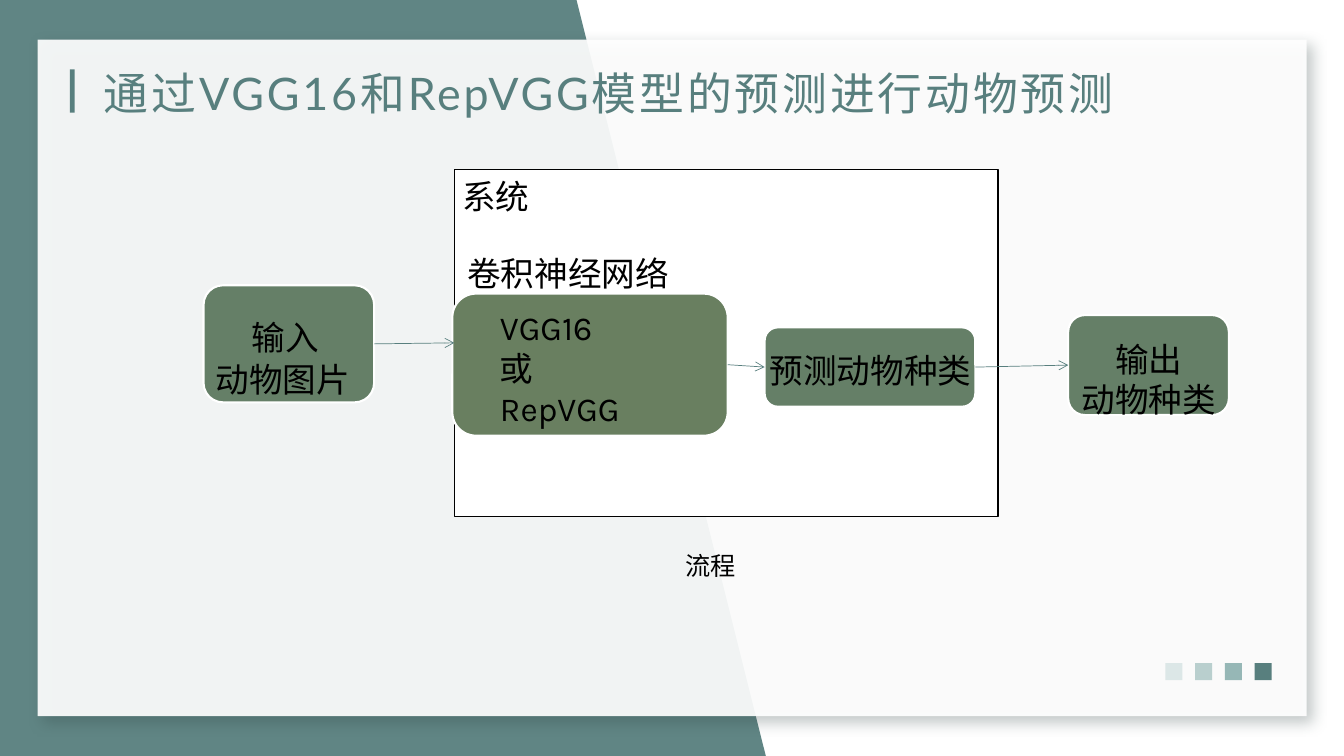
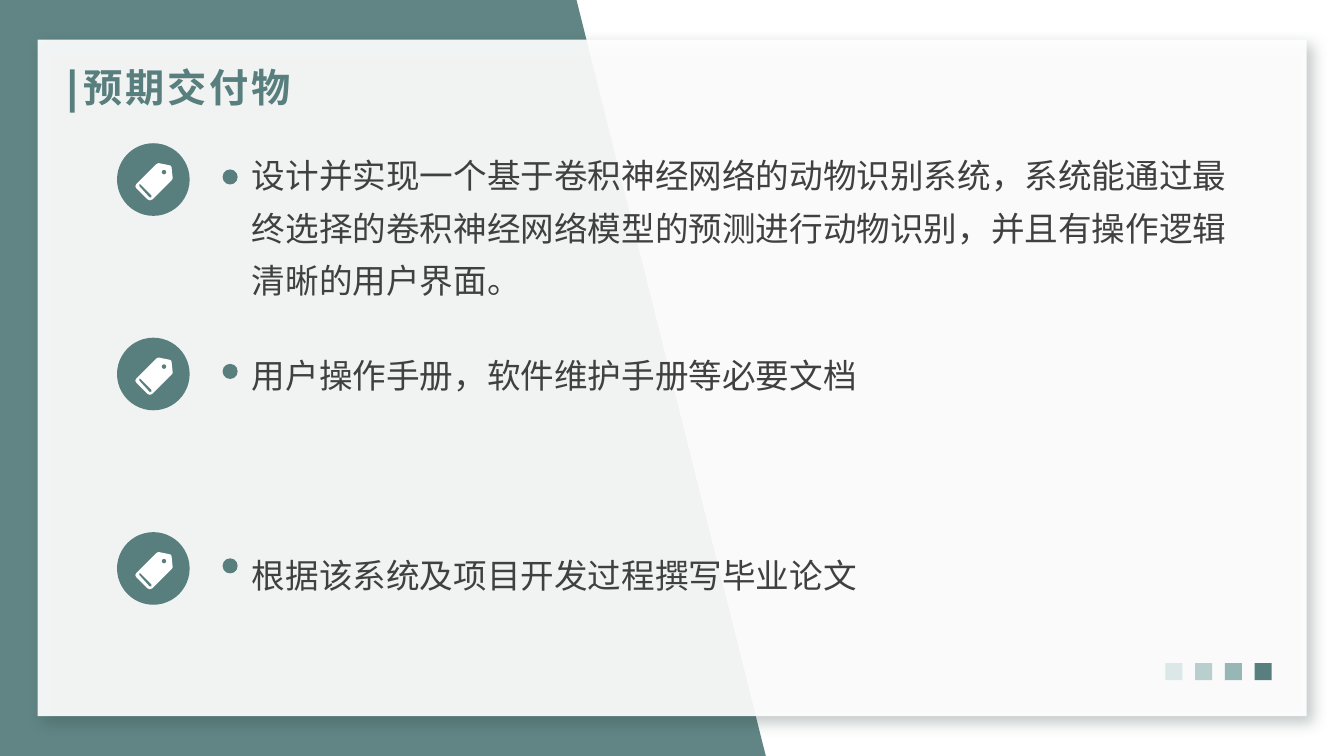
from math import cos, pi, sin

from lxml.etree import SubElement
from pptx import Presentation
from pptx.dml.color import RGBColor
from pptx.enum.shapes import MSO_CONNECTOR, MSO_SHAPE
from pptx.enum.text import MSO_ANCHOR, MSO_AUTO_SIZE, PP_ALIGN
from pptx.oxml.ns import qn
from pptx.util import Cm, Pt

SLIDE_WIDTH, SLIDE_HEIGHT = 33.87, 19.05
WHITE, BLACK, TEAL, GREEN, OLIVE = "FFFFFF", "000000", "587F7E", "657F67", "697F60"
BODY_GREY, SHADOW = "404040", "2C403F"

BANDS = [
    (WHITE, [(7.72, 0), (SLIDE_WIDTH, 0), (SLIDE_WIDTH, SLIDE_HEIGHT), (7.72, SLIDE_HEIGHT)]),
    (TEAL, [(0, 0), (14.53, 0), (19.3, SLIDE_HEIGHT), (0, SLIDE_HEIGHT)]),
]
CARD = (0.95, 1, 31.98, 17.05)
TITLE_BAR = (1.76, 1.75, 0.12, 1.09)
FOOTER_COLOURS = ["DCE7E7", "B9CFCE", "96B7B6", TEAL]
FOOTER_LEFT, FOOTER_TOP, FOOTER_SIZE, FOOTER_STEP = 29.37, 16.71, 0.43, 0.75

FLOW_TITLE = "通过VGG16和RepVGG模型的预测进行动物预测"
FLOW_BOXES = {
    "input": ((5.13, 7.19, 4.3, 2.95), GREEN),
    "network": ((11.4, 7.4, 6.94, 3.58), OLIVE),
    "prediction": ((19.27, 8.25, 5.31, 2), GREEN),
    "output": ((26.92, 7.94, 4.05, 2.52), GREEN),
}
SYSTEM = (11.45, 4.27, 13.7, 8.74)
FLOW_ARROWS = [("input", "system"), ("network", "prediction"), ("prediction", "output")]
FLOW_LABELS = [
    ("系统", (11.4, 4.3, 2.24, 1.28), {}),
    ("卷积神经网络", (11.53, 6.24, 5.69, 1.28), {}),
    ("输入", (6.1, 7.85, 2.24, 1.28), {}),
    ("动物图片", (5.18, 8.92, 4.39, 1.28), {}),
    ("VGG16\n或\nRepVGG", (12.35, 7.62, 5.36, 3.33), {}),
    ("预测动物种类", (19.15, 8.7, 5.69, 1.28), {}),
    ("输出\n动物种类", (26.77, 8.41, 4.37, 2.31), {"align": PP_ALIGN.CENTER}),
    ("流程", (17.02, 13.74, 4.27, 1.02), {"size": 18}),
]

DELIVERY_TITLE = "预期交付物"
DELIVERABLES = [
    ("设计并实现一个基于卷积神经网络的动物识别系统，系统能通过最终选择的卷积神经网络模型的预测进行动物识别，"
     "并且有操作逻辑清晰的用户界面。", 3.99),
    ("用户操作手册，软件维护手册等必要文档", 1.22),
    ("根据该系统及项目开发过程撰写毕业论文", 1.22),
]
ROW_TOP, BADGE_STEP, TEXT_STEP = 3.61, 4.9, 5.03
BADGE_LEFT, BADGE_SIZE = 2.95, 1.83
DOT_LEFT, DOT_DROP, DOT_SIZE = 5.61, 0.66, 0.38
TAG_UNIT = 0.0254
TAG_OUTLINE = [(37, 14), (36, 4), (35, 2.5), (33, 2), (23, 0), (21, 1), (1, 21), (0, 23),
               (1, 25), (12, 36), (14.5, 37), (17, 36), (36, 17), (37, 15.5)]
TAG_SLOT = [(16, 34), (14, 34), (4, 23), (4, 21), (5, 21), (16, 32)]
TAG_HOLE = [(28.5 + 2.3 * cos(k * pi / 8), 9 + 2.3 * sin(k * pi / 8)) for k in range(16)]
TAG = [[(x * TAG_UNIT, y * TAG_UNIT) for x, y in contour]
       for contour in (TAG_OUTLINE, TAG_SLOT, TAG_HOLE)]


def colour(code):
    return RGBColor.from_string(code)


def lengths(box):
    return [Cm(value) for value in box]


def paint(shape, fill, line=None, width=1, opacity=None):
    shape.shadow.inherit = False
    shape.fill.solid()
    shape.fill.fore_color.rgb = colour(fill)
    if opacity:
        fill_colour = shape.element.spPr.find(qn("a:solidFill")).find(qn("a:srgbClr"))
        SubElement(fill_colour, qn("a:alpha"), val=str(opacity * 1000))
    if line:
        shape.line.color.rgb = colour(line)
        shape.line.width = Pt(width)
    else:
        shape.line.fill.background()
    return shape


def add_box(slide, box, fill, kind=MSO_SHAPE.RECTANGLE, **look):
    return paint(slide.shapes.add_shape(kind, *lengths(box)), fill, **look)


def add_outline(slide, contours, fill, left=0, top=0, **look):
    scaled = [[(x * 1000, y * 1000) for x, y in contour] for contour in contours]
    builder = slide.shapes.build_freeform(*scaled[0][0], scale=Cm(1) / 1000)
    for number, contour in enumerate(scaled):
        if number:
            builder.move_to(*contour[0])
        builder.add_line_segments(contour[1:], close=True)
    return paint(builder.convert_to_shape(Cm(left), Cm(top)), fill, **look)


def write(frame, text, size=24, font="Karla", ink=BLACK, bold=False, align=PP_ALIGN.LEFT,
          spacing=None, tracking=None, anchor=MSO_ANCHOR.TOP, inset=None,
          fit=MSO_AUTO_SIZE.SHAPE_TO_FIT_TEXT):
    frame.word_wrap = True
    frame.auto_size = fit
    frame.vertical_anchor = anchor
    if inset is not None:
        frame.margin_left = frame.margin_right = Cm(inset)
        frame.margin_top = frame.margin_bottom = Cm(inset)
    frame.text = text
    for paragraph in frame.paragraphs:
        paragraph.alignment = align
        if spacing:
            paragraph.line_spacing = spacing
        for run in paragraph.runs:
            run.font.size = Pt(size)
            run.font.name = font
            run.font.bold = bold
            run.font.color.rgb = colour(ink)
            if tracking:
                run._r.get_or_add_rPr().set("spc", str(tracking * 100))


def add_text(slide, text, box, **style):
    write(slide.shapes.add_textbox(*lengths(box)).text_frame, text, **style)


def set_title(slide, text, box, **style):
    title = slide.shapes.title
    title.left, title.top, title.width, title.height = lengths(box)
    write(title.text_frame, text, font="Lato", ink=TEAL, tracking=2,
          fit=MSO_AUTO_SIZE.NONE, **style)


def add_arrow(slide, start, end):
    arrow = slide.shapes.add_connector(MSO_CONNECTOR.STRAIGHT, 0, 0, 0, 0)
    arrow.begin_connect(start, 3)
    arrow.end_connect(end, 1)
    arrow.line.color.rgb = colour(TEAL)
    arrow.line.width = Pt(0.5)
    properties = arrow.element.spPr
    SubElement(properties.find(qn("a:ln")), qn("a:tailEnd"), type="arrow")
    SubElement(properties, qn("a:effectLst"))


def build_backdrop(layout, slide):
    for placeholder in list(layout.placeholders):
        if placeholder.placeholder_format.idx:
            layout.shapes.element.remove(placeholder.element)
    parts = [add_outline(slide, [points], fill, opacity=95) for fill, points in BANDS]
    card = add_box(slide, CARD, WHITE, opacity=92)
    effects = card.element.spPr.find(qn("a:effectLst"))
    shadow = SubElement(effects, qn("a:outerShdw"), blurRad=str(Pt(10)), dist=str(Pt(6)),
                        dir=str(45 * 60000), algn="tl", rotWithShape="0")
    shade = SubElement(shadow, qn("a:srgbClr"), val=SHADOW)
    SubElement(shade, qn("a:alpha"), val="30000")
    parts += [card, add_box(slide, TITLE_BAR, TEAL)]
    for column, fill in enumerate(FOOTER_COLOURS):
        left = FOOTER_LEFT + column * FOOTER_STEP
        parts.append(add_box(slide, (left, FOOTER_TOP, FOOTER_SIZE, FOOTER_SIZE), fill))
    for part in parts:
        layout.shapes.element.append(part.element)


def build_flow(slide):
    set_title(slide, FLOW_TITLE, (2.36, 1.73, 27.03, 1.22), size=32, anchor=MSO_ANCHOR.MIDDLE)
    boxes = {"system": add_box(slide, SYSTEM, WHITE, line=BLACK)}
    for step, (box, fill) in FLOW_BOXES.items():
        boxes[step] = add_box(slide, box, fill, MSO_SHAPE.ROUNDED_RECTANGLE,
                              line=WHITE, width=1.5)
    for start, end in FLOW_ARROWS:
        add_arrow(slide, boxes[start], boxes[end])
    for text, box, style in FLOW_LABELS:
        add_text(slide, text, box, **style)


def build_deliverables(slide):
    set_title(slide, DELIVERY_TITLE, (1.85, 1.47, 13.36, 1.22), size=28, bold=True)
    for row, (text, height) in enumerate(DELIVERABLES):
        top = ROW_TOP + row * BADGE_STEP
        add_box(slide, (BADGE_LEFT, top, BADGE_SIZE, BADGE_SIZE), TEAL, MSO_SHAPE.OVAL)
        add_outline(slide, TAG, WHITE, BADGE_LEFT + 0.46, top + 0.5)
        add_box(slide, (DOT_LEFT, top + DOT_DROP, DOT_SIZE, DOT_SIZE), TEAL, MSO_SHAPE.OVAL)
        add_text(slide, text, (6.35, ROW_TOP + row * TEXT_STEP, 24.97, height),
                 font="Roboto", ink=BODY_GREY, spacing=1.3, inset=0)


def main():
    deck = Presentation()
    deck.slide_width, deck.slide_height = Cm(SLIDE_WIDTH), Cm(SLIDE_HEIGHT)
    layout = deck.slide_layouts[5]
    flow, deliverables = [deck.slides.add_slide(layout) for _ in range(2)]
    build_backdrop(layout, flow)
    build_flow(flow)
    build_deliverables(deliverables)
    deck.save("out.pptx")


if __name__ == "__main__":
    main()
